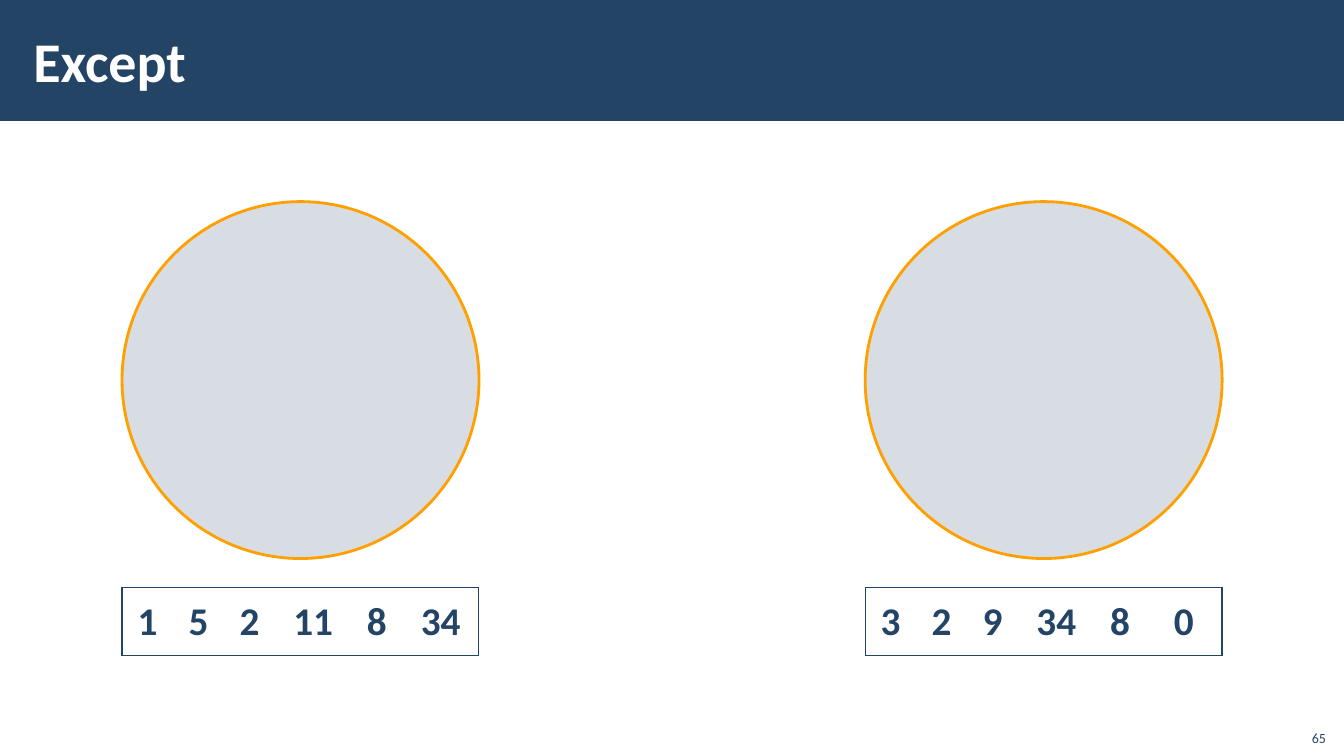
from dataclasses import dataclass

from lxml import etree
from pptx import Presentation, util as u
from pptx.dml.color import RGBColor
from pptx.enum import shapes, text
from pptx.oxml import ns

WIDE, HIGH = u.Inches(13.33), u.Inches(7.5)
HUES = {"navy": "234465", "white": "FFFFFF", "amber": "FFA000"}
SPANS = (2, 2, 2, 3, 2, 3)
FONT = "Calibri"


@dataclass
class Group:
    left: float
    nums: tuple[str, ...]


@dataclass
class Label:
    words: str
    box: tuple[float, float, float, float]
    size: int
    hue: str
    bold: bool
    align: text.PP_ALIGN
    anchor: text.MSO_ANCHOR
    inset: float


GROUPS = (
    Group(9.08, ("1", "5", "2", "11", "8", "34")),
    Group(64.37, ("3", "2", "9", "34", "8", "0")),
)
LABELS = (
    Label("Except", (1.58, 1.47, 79.74, 12.93), 40, "white", True,
          text.PP_ALIGN.LEFT, text.MSO_ANCHOR.MIDDLE, 0.12),
    Label("65", (96.4, 94.93, 3, 4.27), 10, "navy", False,
          text.PP_ALIGN.RIGHT, text.MSO_ANCHOR.BOTTOM, 0.1),
)


def col(share: float) -> int:
    """Percent of the slide's width."""
    return round(WIDE * share / 100)


def row(share: float) -> int:
    """Percent of the slide's height."""
    return round(HIGH * share / 100)


def tint(name: str) -> RGBColor:
    return RGBColor.from_string(HUES[name])


def style(para, size: int, hue: str, bold: bool, align) -> None:
    para.alignment = align
    font = para.font
    font.name, font.size, font.bold = FONT, u.Pt(size), bold
    font.color.rgb = tint(hue)


def add_label(slide, label: Label) -> None:
    x, y, w, h = label.box
    frame = slide.shapes.add_textbox(col(x), row(y), col(w), row(h)).text_frame
    frame.word_wrap = True
    frame.vertical_anchor = label.anchor
    frame.margin_left = frame.margin_right = u.Inches(label.inset)
    frame.margin_top = frame.margin_bottom = u.Inches(0.04)
    frame.text = label.words
    style(frame.paragraphs[0], label.size, label.hue, label.bold, label.align)


def add_band(slide) -> None:
    band = slide.shapes.add_shape(shapes.MSO_SHAPE.RECTANGLE, 0, 0, WIDE, row(16))
    band.shadow.inherit = False
    band.fill.solid()
    band.fill.fore_color.rgb = tint("navy")
    band.line.fill.background()


def add_ring(slide, group: Group) -> None:
    side = col(26.56)
    ring = slide.shapes.add_shape(
        shapes.MSO_SHAPE.OVAL, col(group.left), row(26.67), side, side)
    ring.shadow.inherit = False
    ring.fill.solid()
    ring.fill.fore_color.rgb = tint("navy")
    shade = ring.fill._xPr.find(".//" + ns.qn("a:srgbClr"))
    etree.SubElement(shade, ns.qn("a:alpha"), val="18000")
    ring.line.color.rgb = tint("amber")
    ring.line.width = u.Pt(2)


def edge(cell, drawn: str) -> None:
    """Rule the sides named in drawn and clear the others."""
    props = cell._tc.get_or_add_tcPr()
    for side in "LRTB":
        line = etree.SubElement(props, ns.qn(f"a:ln{side}"), w=str(u.Pt(1)))
        if side in drawn:
            fill = etree.SubElement(line, ns.qn("a:solidFill"))
            etree.SubElement(fill, ns.qn("a:srgbClr"), val=HUES["navy"])
        else:
            etree.SubElement(line, ns.qn("a:noFill"))


def add_list(slide, group: Group) -> None:
    width = col(26.56)
    table = slide.shapes.add_table(
        1, len(SPANS), col(group.left), row(77.73), width, row(8.93)).table
    table.first_row = table.horz_banding = False
    last = len(SPANS) - 1
    for i, (span, num) in enumerate(zip(SPANS, group.nums)):
        table.columns[i].width = round(width * span / sum(SPANS))
        cell = table.cell(0, i)
        edge(cell, "TB" + ("L" if i == 0 else "R" if i == last else ""))
        cell.fill.background()
        cell.vertical_anchor = text.MSO_ANCHOR.MIDDLE
        cell.margin_left = cell.margin_right = u.Inches(0.13)
        cell.margin_top = cell.margin_bottom = u.Inches(0.05)
        cell.text = num
        para = cell.text_frame.paragraphs[0]
        para.line_spacing = 0.95
        style(para, 28, "navy", True, text.PP_ALIGN.CENTER)


def main() -> None:
    deck = Presentation()
    deck.slide_width, deck.slide_height = WIDE, HIGH
    slide = deck.slides.add_slide(deck.slide_layouts[6])
    add_band(slide)
    for label in LABELS:
        add_label(slide, label)
    for group in GROUPS:
        add_ring(slide, group)
        add_list(slide, group)
    deck.save("out.pptx")


if __name__ == "__main__":
    main()
